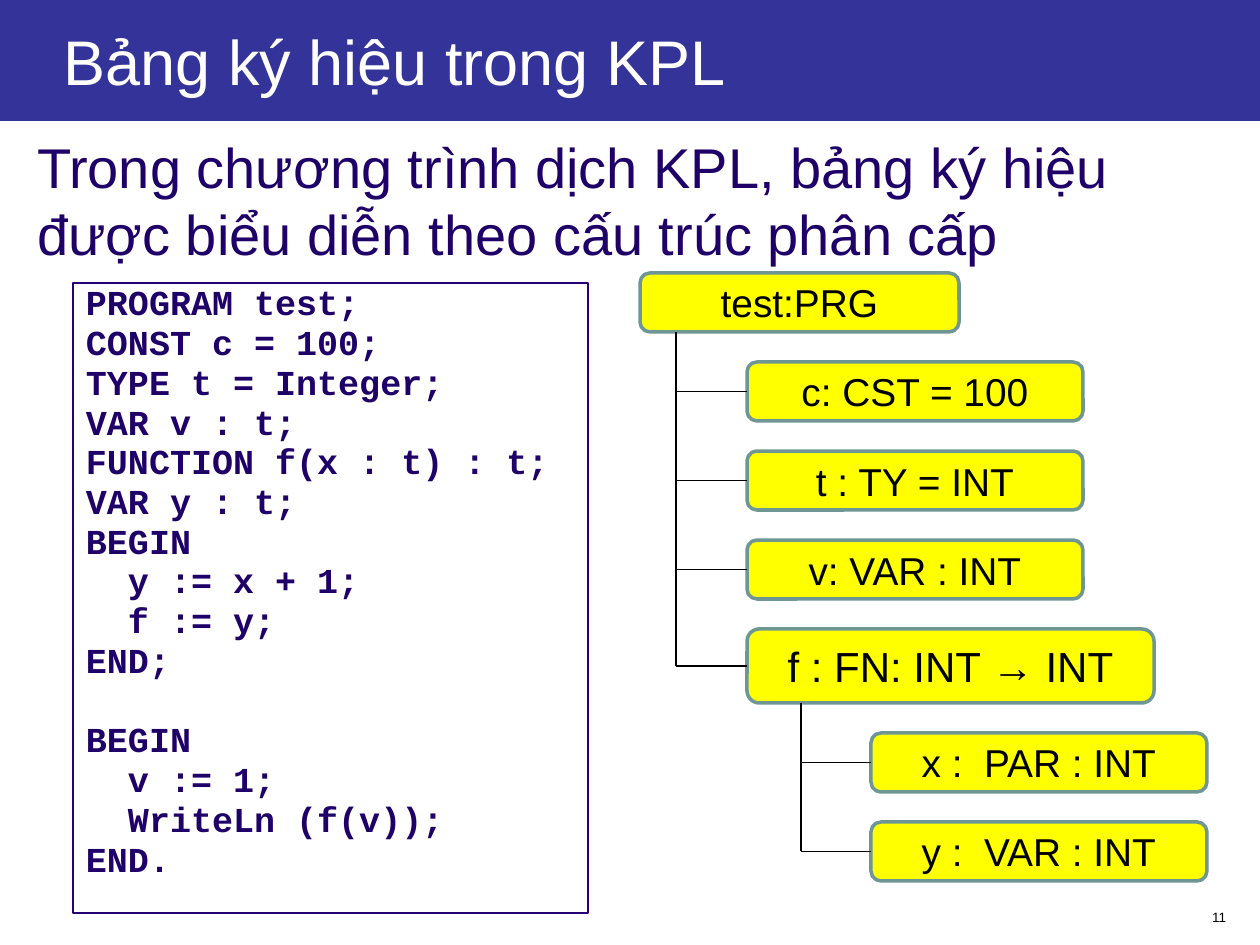
import pptx
import pptx.util
import pptx.dml.color
import pptx.enum.shapes
import pptx.enum.text
import pptx.oxml
import pptx.oxml.ns

PX = 914400 / 126
Pt = pptx.util.Pt
Kind = pptx.enum.shapes.MSO_SHAPE
Align = pptx.enum.text.PP_ALIGN
Anchor = pptx.enum.text.MSO_ANCHOR
hues = {"band": "333399", "white": "FFFFFF", "ink": "1E0068", "frame": "270076",
        "node": "FFFF00", "edge": "6E9695", "black": "000000"}
tint = {k: pptx.dml.color.RGBColor.from_string(v) for k, v in hues.items()}

deck = pptx.Presentation()
deck.slide_width = round(1260 * PX)
deck.slide_height = round(945 * PX)
page = deck.slides.add_slide(deck.slide_layouts[6])


def block(kind, area, lines, size, hue, fill=None, line=None, width=1, left=13,
          font="Arial", bold=False, align=Align.LEFT, anchor=Anchor.TOP, lead=1.0):
    x, y, w, h = [round(v * PX) for v in area]
    if kind is None:
        box = page.shapes.add_textbox(x, y, w, h)
    else:
        box = page.shapes.add_shape(kind, x, y, w, h)
        box.shadow.inherit = False
    if fill:
        box.fill.solid()
        box.fill.fore_color.rgb = tint[fill]
    else:
        box.fill.background()
    if line:
        box.line.color.rgb = tint[line]
        box.line.width = Pt(width)
    else:
        box.line.fill.background()
    frame = box.text_frame
    look = {"word_wrap": True, "vertical_anchor": anchor,
            "margin_left": round(left * PX), "margin_right": round(13 * PX),
            "margin_top": round(6 * PX), "margin_bottom": round(6 * PX)}
    for key, val in look.items():
        setattr(frame, key, val)
    frame.text = "\n".join(lines)
    for par in frame.paragraphs:
        par.alignment = align
        par.line_spacing = lead
        for key, val in {"name": font, "size": Pt(size), "bold": bold}.items():
            setattr(par.font, key, val)
        par.font.color.rgb = tint[hue]
    return box


def link(x, top, end, low):
    wire = page.shapes.add_connector(
        pptx.enum.shapes.MSO_CONNECTOR.STRAIGHT, x, top, end, low)
    wire.line.color.rgb = tint["black"]
    wire.line.width = Pt(0.75)
    wire._element.spPr.append(pptx.oxml.parse_xml(
        "<a:effectLst %s/>" % pptx.oxml.ns.nsdecls("a")))
    return wire


block(None, (977, 903, 262, 30), ["11"], 7.7, "black", align=Align.RIGHT)
block(None, (24, 126, 1215, 155),
      ["Trong chương trình dịch KPL, bảng ký hiệu được biểu diễn theo cấu trúc phân cấp"],
      32, "ink")
block(Kind.RECTANGLE, (0, 0, 1260, 121), ["Bảng ký hiệu trong KPL"], 36, "white",
      fill="band", left=64, anchor=Anchor.MIDDLE)

code = ["PROGRAM test;", "CONST c = 100;", "TYPE t = Integer;", "VAR v : t;",
        "FUNCTION f(x : t) : t;", "VAR y : t;", "BEGIN", "  y := x + 1;",
        "  f := y;", "END;", "BEGIN", "  v := 1;", "  WriteLn (f(v));", "END."]
panel = block(Kind.RECTANGLE, (73, 283, 515, 630), code, 20, "ink", line="frame",
              width=0.75, font="Courier New", bold=True, lead=0.8)
rows = panel.text_frame.paragraphs
for row in rows[1:]:
    row.space_before = Pt(3.5)
rows[10].space_before = Pt(26.2)

nodes = [("test:PRG", 640, 319, 59, 22.2),
         ("c: CST = 100", 747, 336, 59, 22.2),
         ("t : TY = INT", 747, 336, 59, 22.2),
         ("v: VAR : INT", 747, 336, 59, 22.2),
         ("f : FN: INT → INT", 747, 407, 74, 24),
         ("x :  PAR : INT", 871, 336, 59, 22.2),
         ("y :  VAR : INT", 871, 336, 59, 22.2)]
boxes = []
y = 273
for text, x, w, h, size in nodes:
    boxes.append(block(Kind.ROUNDED_RECTANGLE, (x, y, w, h), [text], size, "black",
                       fill="node", line="edge", width=2, align=Align.CENTER,
                       anchor=Anchor.MIDDLE))
    y += h + 30

for root, kids, x in [(boxes[0], boxes[1:5], 676), (boxes[4], boxes[5:], 801)]:
    stem = round(x * PX)
    mids = [kid.top + kid.height // 2 for kid in kids]
    link(stem, root.top + root.height, stem, mids[-1])
    for kid, mid in zip(kids, mids):
        link(stem, mid, kid.left, mid).end_connect(kid, 1)

deck.save("out.pptx")
